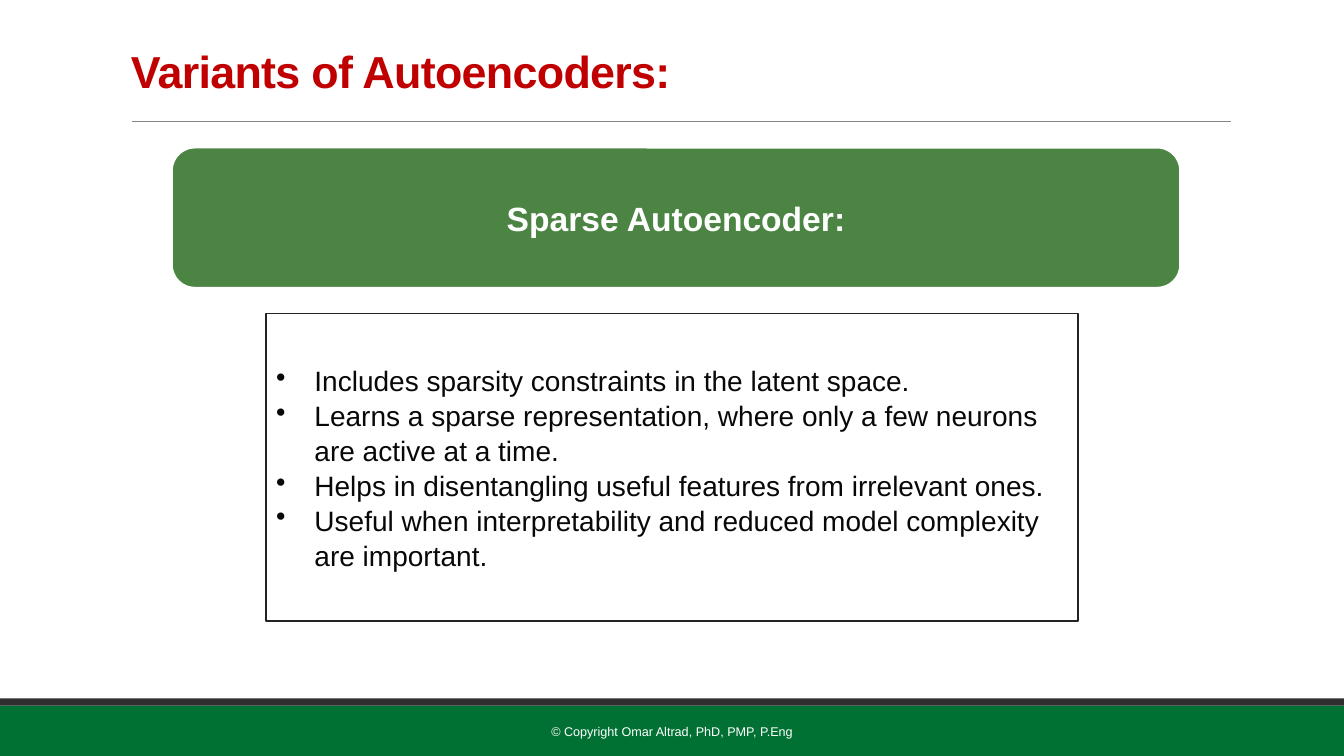
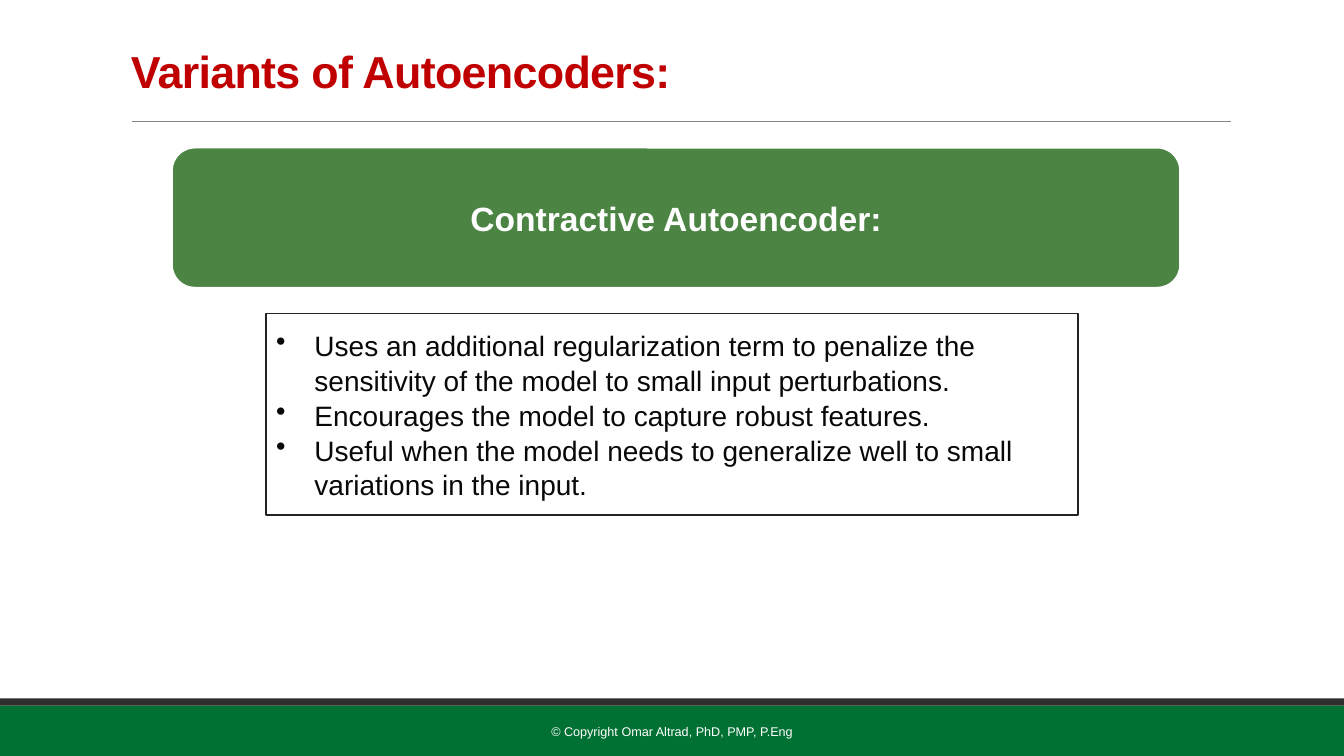
from dataclasses import dataclass

from lxml import etree
from pptx import Presentation
from pptx.dml.color import RGBColor
from pptx.enum import shapes, text
from pptx.oxml import ns
from pptx.util import Inches, Pt


@dataclass(frozen=True)
class Theme:
    font: str = "Arial"
    title_color: str = "C00000"
    footer_band: str = "007033"
    dark_band: str = "2F2F2F"
    rule: str = "848484"
    banner: str = "4C8444"
    frame: str = "232323"
    body: str = "080808"
    white: str = "FFFFFF"
    title_size: int = 32
    banner_size: int = 24
    body_size: int = 20
    footer_size: int = 9


TITLE = "Variants of Autoencoders:"
COPYRIGHT = "© Copyright Omar Altrad, PhD, PMP, P.Eng"
VARIANTS = [
    ("Sparse Autoencoder:", 3.05, [
        "Includes sparsity constraints in the latent space.",
        "Learns a sparse representation, where only a few neurons are active at a time.",
        "Helps in disentangling useful features from irrelevant ones.",
        "Useful when interpretability and reduced model complexity are important.",
    ]),
    ("Contractive Autoencoder:", 2, [
        "Uses an additional regularization term to penalize the sensitivity of the model "
        "to small input perturbations.",
        "Encourages the model to capture robust features.",
        "Useful when the model needs to generalize well to small variations in the input.",
    ]),
]


class Deck:
    def __init__(self, theme):
        self.theme = theme
        self.prs = Presentation()
        self.prs.slide_width, self.prs.slide_height = Inches(13.33), Inches(7.5)
        self.slide = None

    def new_slide(self, title):
        """Start a slide with the bands, rule, title and footer that all slides share."""
        theme = self.theme
        self.slide = self.prs.slides.add_slide(self.prs.slide_layouts[6])
        self.box((0, 7, 13.33, 0.5), theme.footer_band)
        self.box((0, 6.93, 13.33, 0.07), theme.dark_band)
        self.rule(1.31, 12.21, 1.2)
        heading = self.label((1.2, 0.31, 11, 0.86), title, theme.title_size,
                             theme.title_color, bold=True)
        heading.line_spacing = 0.85
        heading.runs[0].font._element.set("spc", "-50")
        self.label((4.03, 7.06, 5.27, 0.4), COPYRIGHT, theme.footer_size,
                   theme.white, align=text.PP_ALIGN.CENTER)

    def box(self, at, fill, line=None, line_width=1, kind=shapes.MSO_SHAPE.RECTANGLE):
        shape = self.slide.shapes.add_shape(kind, *map(Inches, at))
        shape.shadow.inherit = False
        shape.fill.solid()
        shape.fill.fore_color.rgb = RGBColor.from_string(fill)
        if line:
            shape.line.color.rgb = RGBColor.from_string(line)
            shape.line.width = Pt(line_width)
        else:
            shape.line.fill.background()
        return shape

    def rule(self, left, right, y):
        line = self.slide.shapes.add_connector(
            shapes.MSO_CONNECTOR.STRAIGHT, *map(Inches, (left, y, right, y)))
        line.line.color.rgb = RGBColor.from_string(self.theme.rule)
        line.line.width = Pt(0.5)
        etree.SubElement(line._element.spPr, ns.qn("a:effectLst"))

    def set_text(self, shape, lines, size, color, bold=False, align=text.PP_ALIGN.LEFT):
        """Fill a shape with one paragraph per line and return the paragraphs."""
        frame = shape.text_frame
        frame.word_wrap = True
        frame.vertical_anchor = text.MSO_ANCHOR.MIDDLE
        frame.text = "\n".join(lines)
        for paragraph in frame.paragraphs:
            paragraph.alignment = align
            font = paragraph.font
            font.name, font.size, font.bold = self.theme.font, Pt(size), bold
            font.color.rgb = RGBColor.from_string(color)
        return frame.paragraphs

    def label(self, at, wording, size, color, **style):
        textbox = self.slide.shapes.add_textbox(*map(Inches, at))
        return self.set_text(textbox, [wording], size, color, **style)[0]

    def banner(self, heading):
        theme = self.theme
        shape = self.box((1.7, 1.46, 10.01, 1.4), theme.banner, theme.white, 2,
                         shapes.MSO_SHAPE.ROUNDED_RECTANGLE)
        self.set_text(shape, [heading], theme.banner_size, theme.white,
                      bold=True, align=text.PP_ALIGN.CENTER)

    def bullet_panel(self, points, height):
        theme = self.theme
        panel = self.box((2.64, 3.11, 8.05, height), theme.white, theme.frame, 1.25)
        for paragraph in self.set_text(panel, points, theme.body_size, theme.body):
            paragraph.line_spacing = 1.04
            props = paragraph._p.get_or_add_pPr()
            props.set("marL", str(Inches(0.38)))
            props.set("indent", str(-Inches(0.38)))
            bullet = etree.Element(ns.qn("a:buChar"), char="•")
            props.find(ns.qn("a:defRPr")).addprevious(bullet)


def main():
    deck = Deck(Theme())
    for heading, panel_height, points in VARIANTS:
        deck.new_slide(TITLE)
        deck.banner(heading)
        deck.bullet_panel(points, panel_height)
    deck.prs.save("out.pptx")


if __name__ == "__main__":
    main()
